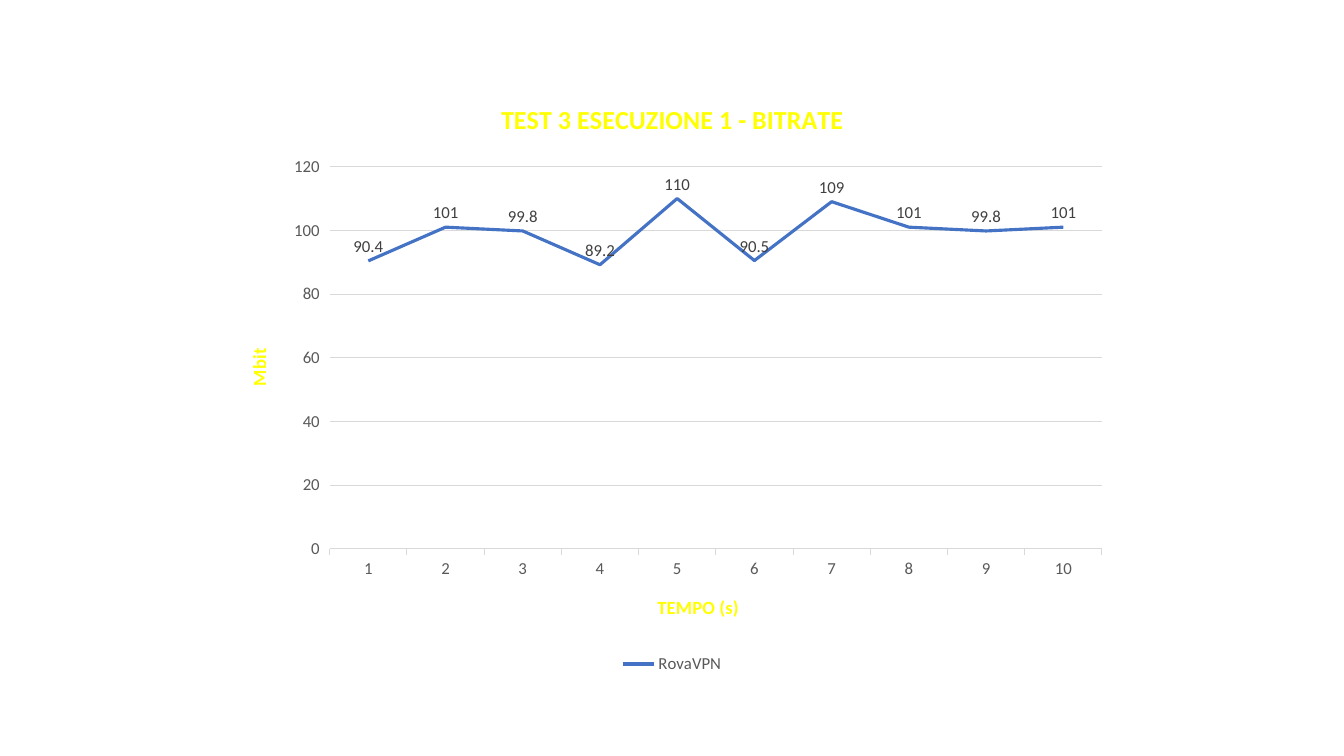
"""Build a slide with a line chart of bitrate over time."""
from lxml import etree
from pptx import Presentation
from pptx.chart.data import CategoryChartData
from pptx.dml.color import RGBColor
from pptx.enum.chart import XL_CHART_TYPE, XL_LABEL_POSITION, XL_LEGEND_POSITION, XL_TICK_MARK
from pptx.oxml.ns import qn
from pptx.util import Pt

LINE = XL_CHART_TYPE.LINE
ABOVE = XL_LABEL_POSITION.ABOVE
BOTTOM = XL_LEGEND_POSITION.BOTTOM
OUT = XL_TICK_MARK.OUTSIDE
NONE = XL_TICK_MARK.NONE
PX = 914400 / 100.8
LEFT, TOP, WIDE, HIGH = 224, 80, 896, 598
YELLOW, GRAY, DARK, PALE, BLUE = "FFFF00", "595959", "404040", "D9D9D9", "4472C4"


def style(font, size, color, bold=False):
    """Set the look of a font."""
    font.name = "Calibri"
    font.size = Pt(size)
    font.bold = bold
    font.color.rgb = RGBColor.from_string(color)


def place(node, index, x, y, size=None):
    """Fix a chart part at slide pixels."""
    old = node.find(qn("c:layout"))
    if old is not None:
        node.remove(old)
    layout = etree.Element(qn("c:layout"))
    manual = etree.SubElement(layout, qn("c:manualLayout"))
    rules = [("xMode", "edge"), ("yMode", "edge"),
             ("x", round((x - LEFT) / WIDE, 3)), ("y", round((y - TOP) / HIGH, 3))]
    if size:
        rules.insert(0, ("layoutTarget", "inner"))
        rules += [("w", round(size[0] / WIDE, 3)), ("h", round(size[1] / HIGH, 3))]
    for tag, value in rules:
        etree.SubElement(manual, qn("c:" + tag)).set("val", str(value))
    node.insert(index, layout)


deck = Presentation()
deck.slide_width = round(1344 * PX)
deck.slide_height = round(756 * PX)
slide = deck.slides.add_slide(deck.slide_layouts[6])

data = CategoryChartData()
data.categories = [str(second) for second in range(1, 11)]
data.add_series("RovaVPN", [90.4, 101, 99.8, 89.2, 110, 90.5, 109, 101, 99.8, 101])
box = [round(side * PX) for side in (LEFT, TOP, WIDE, HIGH)]
chart = slide.shapes.add_chart(LINE, *box, data).chart
style(chart.font, 10, "000000")

time, rate = chart.category_axis, chart.value_axis
chart.has_title = True
titles = [
    (chart.chart_title, "TEST 3 ESECUZIONE 1 - BITRATE", 18.6, 496, 97),
    (time.axis_title, "TEMPO (s)", 13.3, 654, 591),
    (rate.axis_title, "Mbit", 13.3, 243, 345),
]
for title, text, size, x, y in titles:
    para = title.text_frame.paragraphs[0]
    para.text = text
    style(para.runs[0].font, size, YELLOW, True)
    place(title.element, 1, x, y)
rate.axis_title.text_frame._txBody.bodyPr.set("rot", "-5400000")
place(chart.element.find(".//" + qn("c:plotArea")), 0, 330, 167, (772, 382))

for axis in (time, rate):
    style(axis.tick_labels.font, 12, GRAY)
    axis.major_tick_mark = OUT
    axis.minor_tick_mark = NONE
rate.minimum_scale, rate.maximum_scale, rate.major_unit = 0, 120, 20
rate.has_major_gridlines = True
rate.format.line.fill.background()

series = chart.plots[0].series[0]
series.smooth = False
chart.plots[0].vary_by_categories = False
lines = [
    (time.format.line, PALE, 0.75),
    (rate.major_gridlines.format.line, PALE, 0.75),
    (series.format.line, BLUE, 2.25),
]
for line, color, width in lines:
    line.color.rgb = RGBColor.from_string(color)
    line.width = Pt(width)

labels = series.data_labels
labels.show_value = True
labels.position = ABOVE
style(labels.font, 12, DARK)

chart.has_legend = True
chart.legend.position = BOTTOM
chart.legend.include_in_layout = False
style(chart.legend.font, 12, GRAY)

deck.save("out.pptx")
